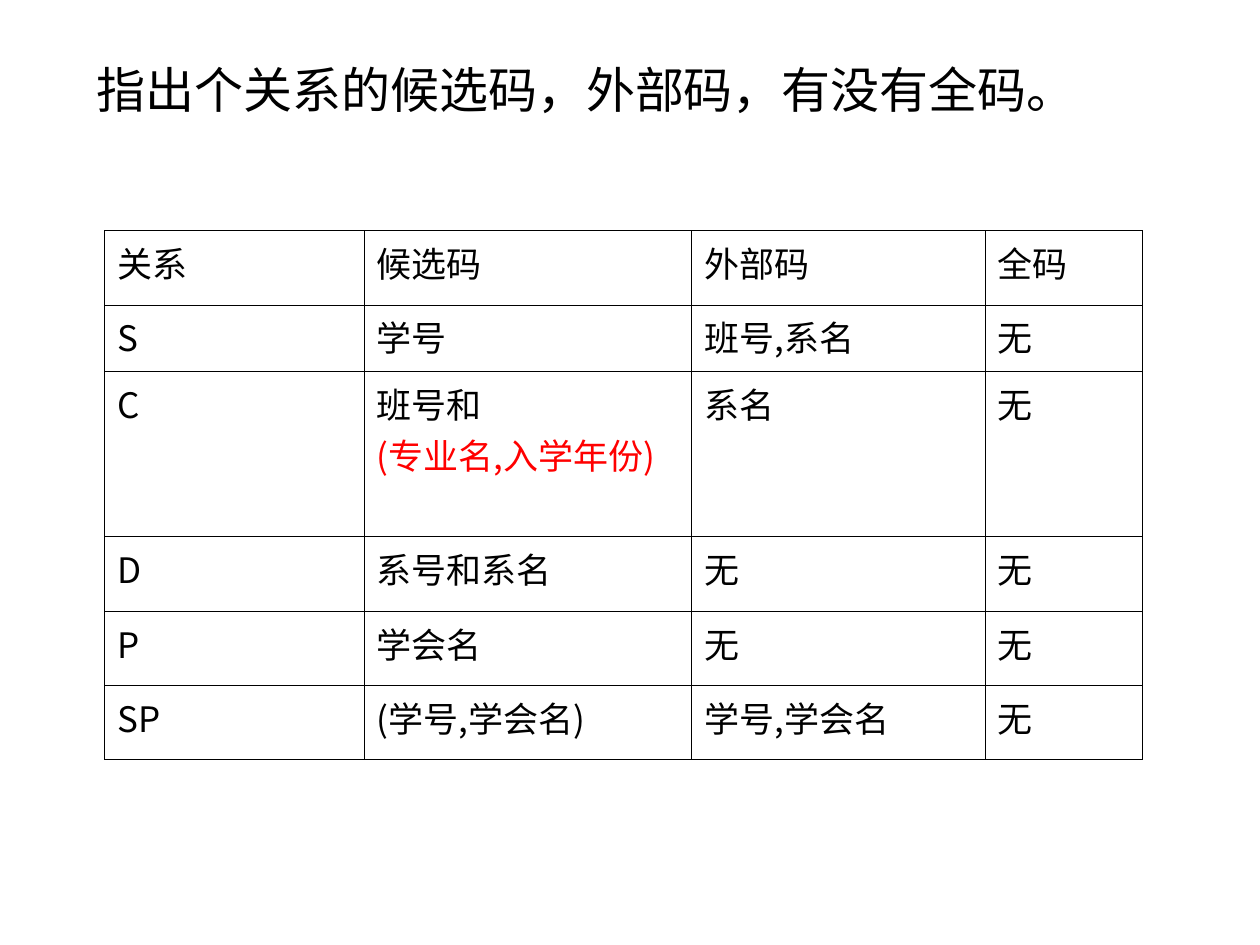
from dataclasses import dataclass

from lxml.etree import SubElement
from pptx import Presentation
from pptx.dml.color import RGBColor
from pptx.oxml.ns import qn
from pptx.util import Inches, Pt

BLACK = "000000"
RED = "FF0000"
CJK_FONT = "Noto Sans CJK SC"
BORDER_WIDTH = Pt(0.45)
COLUMN_WIDTHS = (2.06, 2.6, 2.33, 1.25)


@dataclass(frozen=True)
class Relation:
    name: str
    candidate_key: str
    foreign_key: str
    all_key: str = "无"
    height: float = 0.59
    alternate_key: str = ""


RELATIONS = (
    Relation("关系", "候选码", "外部码", "全码"),
    Relation("S", "学号", "班号,系名", height=0.53),
    Relation("C", "班号和", "系名", height=1.31, alternate_key="(专业名,入学年份)"),
    Relation("D", "系号和系名", "无"),
    Relation("P", "学会名", "无"),
    Relation("SP", "(学号,学会名)", "学号,学会名"),
)


def rgb(code: str) -> RGBColor:
    return RGBColor.from_string(code)


def set_values(target, values: dict) -> None:
    for attribute, value in values.items():
        setattr(target, attribute, value)


def write_run(paragraph, text: str, size: float, latin: str, color: str = BLACK) -> None:
    run = paragraph.add_run()
    run.text = text
    set_values(run.font, {"size": Pt(size), "name": latin})
    run.font.color.rgb = rgb(color)
    SubElement(run.font._element, qn("a:ea"), typeface=CJK_FONT)


def draw_borders(cell) -> None:
    properties = cell._tc.get_or_add_tcPr()
    for side in ("a:lnL", "a:lnR", "a:lnT", "a:lnB"):
        border = SubElement(properties, qn(side), w=str(int(BORDER_WIDTH)))
        SubElement(SubElement(border, qn("a:solidFill")), qn("a:srgbClr"), val=BLACK)


def fill_cell(cell, text: str, alternate: str = "") -> None:
    draw_borders(cell)
    cell.fill.background()
    write_run(cell.text_frame.paragraphs[0], text, 20, CJK_FONT)
    if alternate:
        write_run(cell.text_frame.add_paragraph(), alternate, 20, CJK_FONT, RED)


def add_question(slide, text: str) -> None:
    question = slide.shapes.add_textbox(Inches(0.67), Inches(0.42), Inches(8.5), Inches(0.83))
    question.text_frame.word_wrap = True
    paragraph = question.text_frame.paragraphs[0]
    indent = {"marL": Inches(0.38), "indent": -Inches(0.38)}
    for attribute, length in indent.items():
        paragraph._p.get_or_add_pPr().set(attribute, str(int(length)))
    write_run(paragraph, text, 28, "Arial")


def add_key_table(slide, relations: tuple[Relation, ...]) -> None:
    keys = slide.shapes.add_table(
        len(relations), len(COLUMN_WIDTHS), Inches(0.83), Inches(1.83),
        Inches(sum(COLUMN_WIDTHS)), Inches(sum(r.height for r in relations)),
    ).table
    set_values(keys, {"first_row": False, "horz_banding": False})
    for column, width in zip(keys.columns, COLUMN_WIDTHS):
        column.width = Inches(width)
    for row, relation in zip(keys.rows, relations):
        row.height = Inches(relation.height)
        name, candidate, foreign, all_key = row.cells
        fill_cell(name, relation.name)
        fill_cell(candidate, relation.candidate_key, relation.alternate_key)
        fill_cell(foreign, relation.foreign_key)
        fill_cell(all_key, relation.all_key)


def main() -> None:
    presentation = Presentation()
    set_values(presentation, {"slide_width": Inches(10), "slide_height": Inches(7.5)})
    slide = presentation.slides.add_slide(presentation.slide_layouts[6])
    add_question(slide, "指出个关系的候选码，外部码，有没有全码。")
    add_key_table(slide, RELATIONS)
    presentation.save("out.pptx")


if __name__ == "__main__":
    main()
